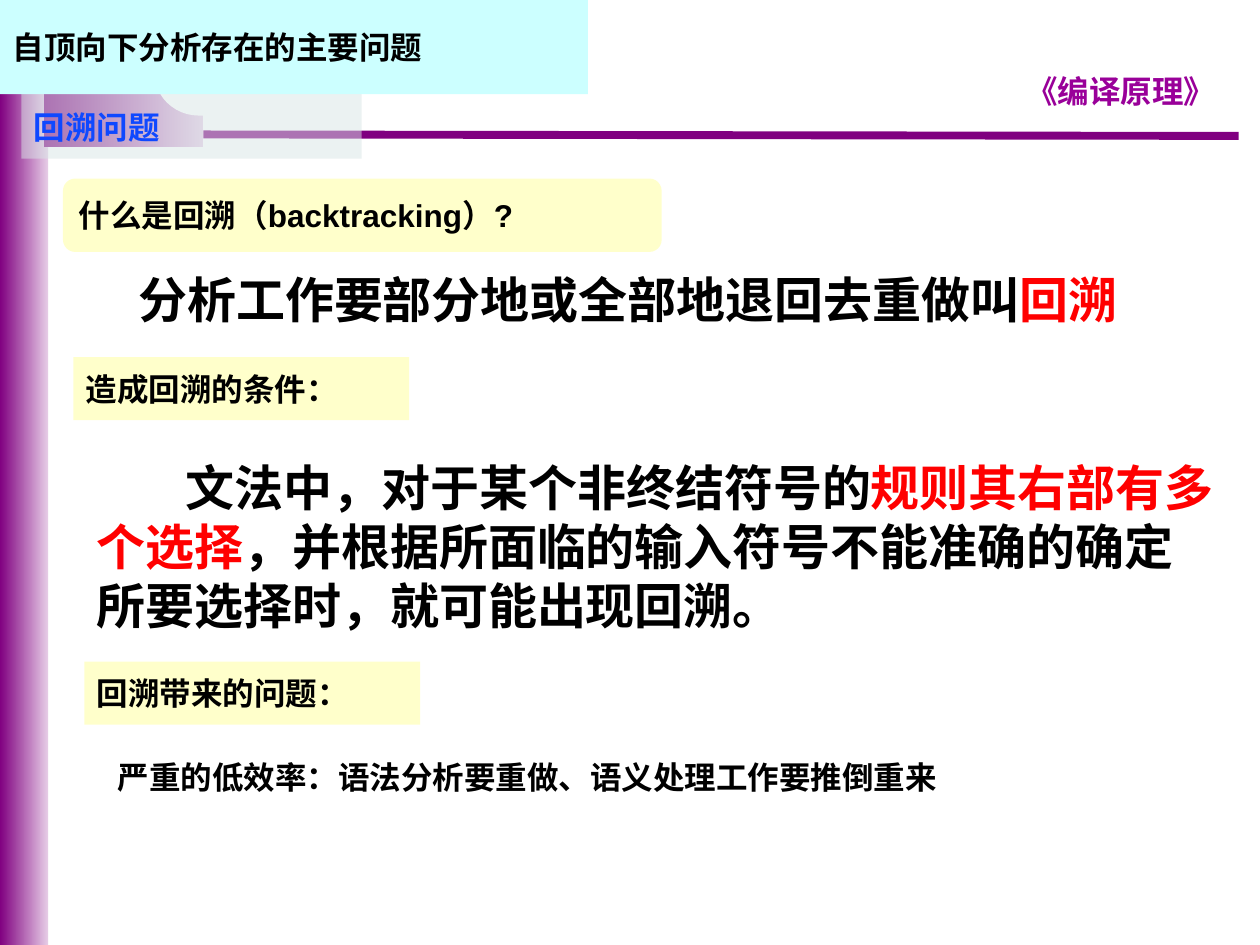
from lxml.etree import SubElement
from pptx import Presentation
from pptx.dml.color import RGBColor
from pptx.enum.shapes import MSO_CONNECTOR, MSO_SHAPE
from pptx.enum.text import MSO_ANCHOR, MSO_AUTO_SIZE, PP_ALIGN
from pptx.oxml import parse_xml
from pptx.oxml.ns import nsdecls, qn
from pptx.util import Cm, Pt

COLORS = {
    "purple": "800080", "lilac": "E6CCE6", "course": "990099", "white": "FFFFFF",
    "mist": "D9E6E6", "yellow": "FFFF99", "cyan": "CCFFFF",
    "blue": "0F48FF", "red": "FF0000", "black": "000000",
}
CJK_FONT = "Noto Sans CJK SC"


def rgb(name):
    """Return the named colour."""
    return RGBColor.from_string(COLORS[name])


def write_text(box, spans, size=18, font="Arial", color="black", wrap=False,
               align=PP_ALIGN.LEFT, anchor=MSO_ANCHOR.MIDDLE, indent=0):
    """Fill a box with one bold paragraph of (text, colour) spans or plain text."""
    frame = box.text_frame
    frame.auto_size = MSO_AUTO_SIZE.NONE
    frame.word_wrap = wrap
    frame.vertical_anchor = anchor
    para = frame.paragraphs[0]
    para.alignment = align
    if indent:
        para._p.get_or_add_pPr().set("indent", str(Cm(indent)))
    for text, shade in [(spans, color)] if isinstance(spans, str) else spans:
        span = para.add_run()
        span.text = text
        span.font.size = Pt(size)
        span.font.bold = True
        span.font.name = font
        span.font.color.rgb = rgb(shade)
        SubElement(span._r.get_or_add_rPr(), qn("a:ea"), typeface=CJK_FONT)


def add_text(page, area, spans, **style):
    """Add a text box."""
    box = page.shapes.add_textbox(*map(Cm, area))
    write_text(box, spans, **style)


def add_panel(page, area, fill, corner=None, alpha=None):
    """Add a flat panel, rounded when a corner is given."""
    kind = MSO_SHAPE.RECTANGLE if corner is None else MSO_SHAPE.ROUNDED_RECTANGLE
    panel = page.shapes.add_shape(kind, *map(Cm, area))
    if corner is not None:
        panel.adjustments[0] = corner
    panel.shadow.inherit = False
    panel.line.fill.background()
    panel.fill.solid()
    panel.fill.fore_color.rgb = rgb(fill)
    if alpha is not None:
        color = panel._element.spPr.find(qn("a:solidFill"))[0]
        SubElement(color, qn("a:alpha"), val=str(alpha * 1000))
    return panel


def add_gradient_bar(page, area):
    """Add a bar that fades from left to right."""
    bar = add_panel(page, area, "purple")
    bar.fill.gradient()
    bar.fill.gradient_angle = 0
    for stop, name in zip(bar.fill.gradient_stops, ("purple", "lilac")):
        stop.color.rgb = rgb(name)


def add_rule(page, start, end):
    """Add the thick header rule."""
    rule = page.shapes.add_connector(MSO_CONNECTOR.STRAIGHT, *map(Cm, start + end))
    rule.line.color.rgb = rgb("purple")
    rule.line.width = Pt(4.5)
    SubElement(rule._element.spPr, qn("a:effectLst"))


def add_heading(page, area, text, corner=None, fill="yellow", color="black"):
    """Add a half-transparent panel with a heading."""
    panel = add_panel(page, area, fill, corner, alpha=50)
    write_text(panel, text, color=color)


def place_title(page, area, text):
    """Turn the title placeholder into the rounded banner in front."""
    title = page.shapes.title
    title.left, title.top, title.width, title.height = map(Cm, area)
    title._element.spPr.append(parse_xml(
        f'<a:prstGeom {nsdecls("a")} prst="roundRect"><a:avLst>'
        '<a:gd name="adj" fmla="val 5400"/></a:avLst></a:prstGeom>'))
    title.fill.solid()
    title.fill.fore_color.rgb = rgb("cyan")
    write_text(title, text, font=CJK_FONT)
    page.shapes._spTree.append(title._element)


def add_header(page):
    """Draw the side bar, the header and the course name."""
    add_gradient_bar(page, (0, 0, 0.97, 19.05))
    add_gradient_bar(page, (0.88, 0, 3.22, 2.97))
    add_rule(page, (4.1, 2.71), (24.97, 2.74))
    add_text(page, (20.09, 1.32, 5, 1.02), "《编译原理》", font="Comic Neue",
             color="course", wrap=True, align=PP_ALIGN.CENTER, anchor=MSO_ANCHOR.TOP)
    add_panel(page, (3.1, 0.53, 9.2, 1.8), "white", corner=0.5)


def main():
    """Build the slide and save it."""
    deck = Presentation()
    deck.slide_width, deck.slide_height = Cm(25.4), Cm(19.05)
    page = deck.slides.add_slide(deck.slide_layouts[5])

    add_header(page)
    add_heading(page, (0.43, 1.9, 6.86, 1.3), "回溯问题", fill="mist", color="blue")
    add_heading(page, (1.27, 3.6, 12.07, 1.48), "什么是回溯（backtracking）?", corner=0.167)
    add_text(page, (2.54, 5.28, 18.85, 1.48),
             [("分析工作要部分地或全部地退回去重做叫", "black"), ("回溯", "red")], size=28)
    add_heading(page, (1.48, 7.2, 6.77, 1.27), "造成回溯的条件：")
    add_text(page, (1.7, 9.1, 23.07, 3.81),
             [("文法中，对于某个非终结符号的", "black"), ("规则其右部有多个选择", "red"),
              ("，并根据所面临的输入符号不能准确的确定所要选择时，就可能出现回溯。", "black")],
             size=28, wrap=True, anchor=MSO_ANCHOR.TOP, indent=1.8)
    add_heading(page, (1.7, 13.34, 6.77, 1.27), "回溯带来的问题：")
    add_text(page, (2.12, 14.82, 22.65, 1.69),
             "严重的低效率：语法分析要重做、语义处理工作要推倒重来", wrap=True)
    place_title(page, (0, 0, 11.85, 1.9), "自顶向下分析存在的主要问题")

    deck.save("out.pptx")


if __name__ == "__main__":
    main()
